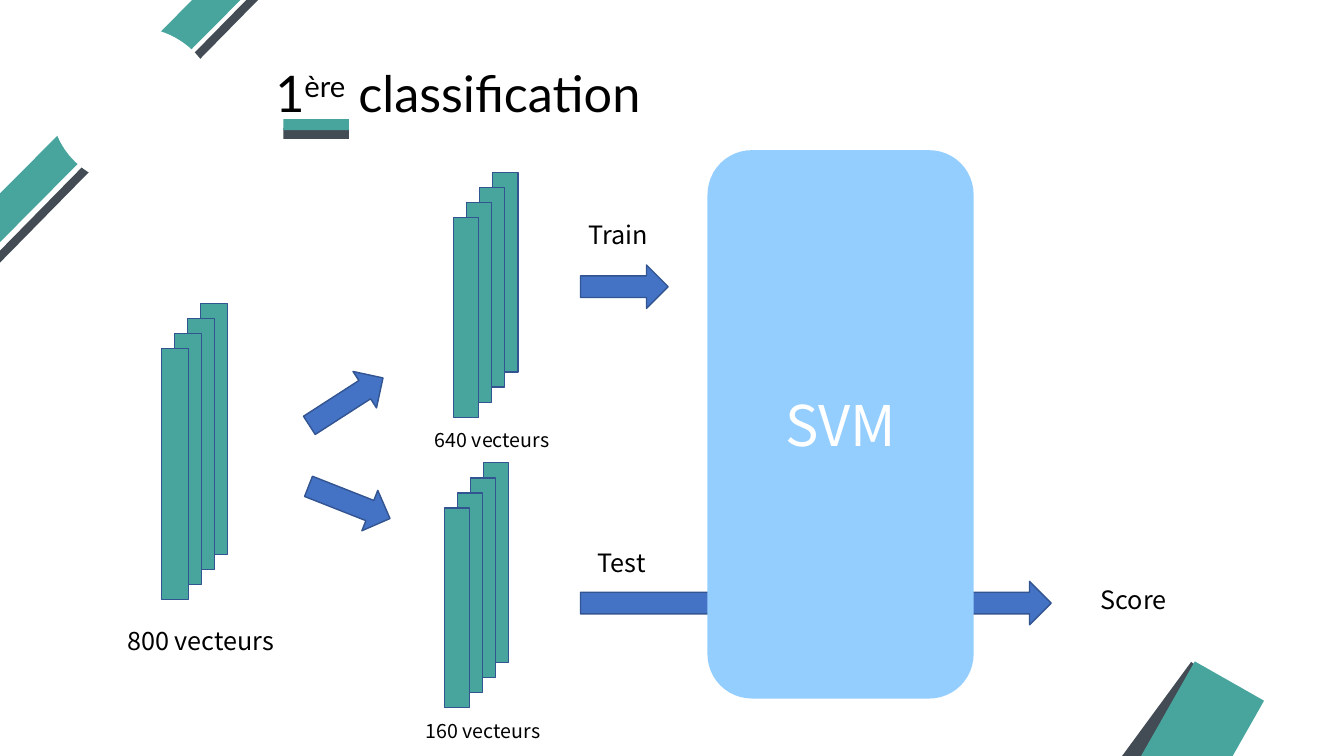
from pptx import Presentation
from pptx.dml.color import RGBColor
from pptx.enum.shapes import MSO_SHAPE
from pptx.enum.text import MSO_ANCHOR, MSO_AUTO_SIZE, PP_ALIGN
from pptx.util import Pt

RECT, OVAL = MSO_SHAPE.RECTANGLE, MSO_SHAPE.OVAL
ROUND, ARROW = MSO_SHAPE.ROUNDED_RECTANGLE, MSO_SHAPE.RIGHT_ARROW
LEFT, CENTER = PP_ALIGN.LEFT, PP_ALIGN.CENTER
TOP, MIDDLE = MSO_ANCHOR.TOP, MSO_ANCHOR.MIDDLE
FIXED = MSO_AUTO_SIZE.NONE

TEAL, DARK, WHITE, BLACK = "47A59E", "434C55", "FFFFFF", "000000"
BLUE, EDGE, SKY = "4472C4", "325491", "94CEFF"
HEAD, BODY = "Lato", "Noto Sans CJK JP"


def color(code):
    return RGBColor.from_string(code)


def shape(slide, kind, box, fill, edge=None, turn=0):
    item = slide.shapes.add_shape(kind, *map(Pt, box))
    item.shadow.inherit = False
    item.rotation = turn
    item.fill.solid()
    item.fill.fore_color.rgb = color(fill)
    if edge:
        item.line.color.rgb = color(edge)
        item.line.width = Pt(1)
    else:
        item.line.fill.background()
    return item


def style(para, size, name=BODY, code=BLACK, align=LEFT):
    para.alignment = align
    para.font.size = Pt(size)
    para.font.name = name
    para.font.color.rgb = color(code)


def label(slide, box, text, size=18, align=LEFT):
    frame = slide.shapes.add_textbox(*map(Pt, box)).text_frame
    frame.word_wrap = True
    frame.text = text
    style(frame.paragraphs[0], size, align=align)


def decor(slide, wide, high):
    # Bottom right corner
    shape(slide, RECT, (wide - 143, high - 67, 34.5, 103), DARK, turn=36.3)
    # Top left band, with a round gap
    shape(slide, RECT, (87, -47.5, 6, 278.5), DARK, turn=44.5)
    shape(slide, RECT, (-324.7, 135.4, 665.3, 24.5), TEAL, turn=314.8)
    shape(slide, OVAL, (36.7, 19.4, 118, 113), WHITE)
    # Front of the corner
    shape(slide, RECT, (wide - 152.2, high - 41, 94.3, 56.9), TEAL, turn=299.6)


def heading(slide, box):
    x, y, w, h = box
    title = slide.shapes.title
    title.left, title.top, title.width, title.height = map(Pt, box)
    frame = title.text_frame
    frame.auto_size = FIXED
    frame.vertical_anchor = TOP
    para = frame.paragraphs[0]
    style(para, 36, HEAD)
    for text, base in (("1", 0), ("ère", 30000), (" classification", 0)):
        run = para.add_run()
        run.text = text
        if base:
            run.font._element.set("baseline", str(base))
    # Two-tone underline
    shape(slide, RECT, (x + 13, y + 50.4, 46.8, 7.9), DARK)
    shape(slide, RECT, (x + 13, y + 44, 46.8, 7.9), TEAL)


def stack(slide, box, text, size, gap):
    """Four bars, the front one in the given box, with a label below."""
    x, y, w, h = box
    dx, dy, count = 9.3, 10.8, 4
    for i in reversed(range(count)):
        shape(slide, RECT, (x + i * dx, y - i * dy, w, h), TEAL, EDGE)
    mid = x + (w + (count - 1) * dx) / 2 + 4.6
    label(slide, (mid - 68, y + h + gap, 136, 26), text, size, CENTER)


def arrow(slide, x, y, w=62.6, turn=0):
    shape(slide, ARROW, (x, y, w, 31), BLUE, EDGE, turn)


def model(slide, box):
    x, y, w, h = box
    # Input and output arrows
    start = x - 90.7
    arrow(slide, start, y + 82)
    arrow(slide, start, y + 308, 336.2)
    # Classifier block
    block = shape(slide, ROUND, box, SKY)
    frame = block.text_frame
    frame.text = "SVM"
    frame.vertical_anchor = MIDDLE
    style(frame.paragraphs[0], 40, code=WHITE, align=CENTER)
    # Arrow labels
    for dx, dy, text in ((-92, 46, "Train"), (-85.6, 280, "Test"),
                         (273.6, 306.7, "Score")):
        label(slide, (x + dx, y + dy, 71.3, 28.8), text)


def main():
    deck = Presentation()
    wide, high = 960, 540
    deck.slide_width, deck.slide_height = Pt(wide), Pt(high)
    slide = deck.slides.add_slide(deck.slide_layouts[5])

    decor(slide, wide, high)
    heading(slide, (189.4, 41, 432, 51))

    # Full set, split into two parts
    stack(slide, (115.2, 249.1, 19.4, 179.3), "800 vecteurs", 18, 15)
    arrow(slide, 216, 271.4, turn=327.2)
    arrow(slide, 218.2, 343.4, turn=21.5)
    stack(slide, (324, 155.5, 18, 142.6), "640 vecteurs", 14, 4.3)
    stack(slide, (317.5, 362.9, 18, 142.6), "160 vecteurs", 14, 4.3)

    model(slide, (505.4, 107.3, 190.1, 391.7))
    deck.save("out.pptx")


if __name__ == "__main__":
    main()
